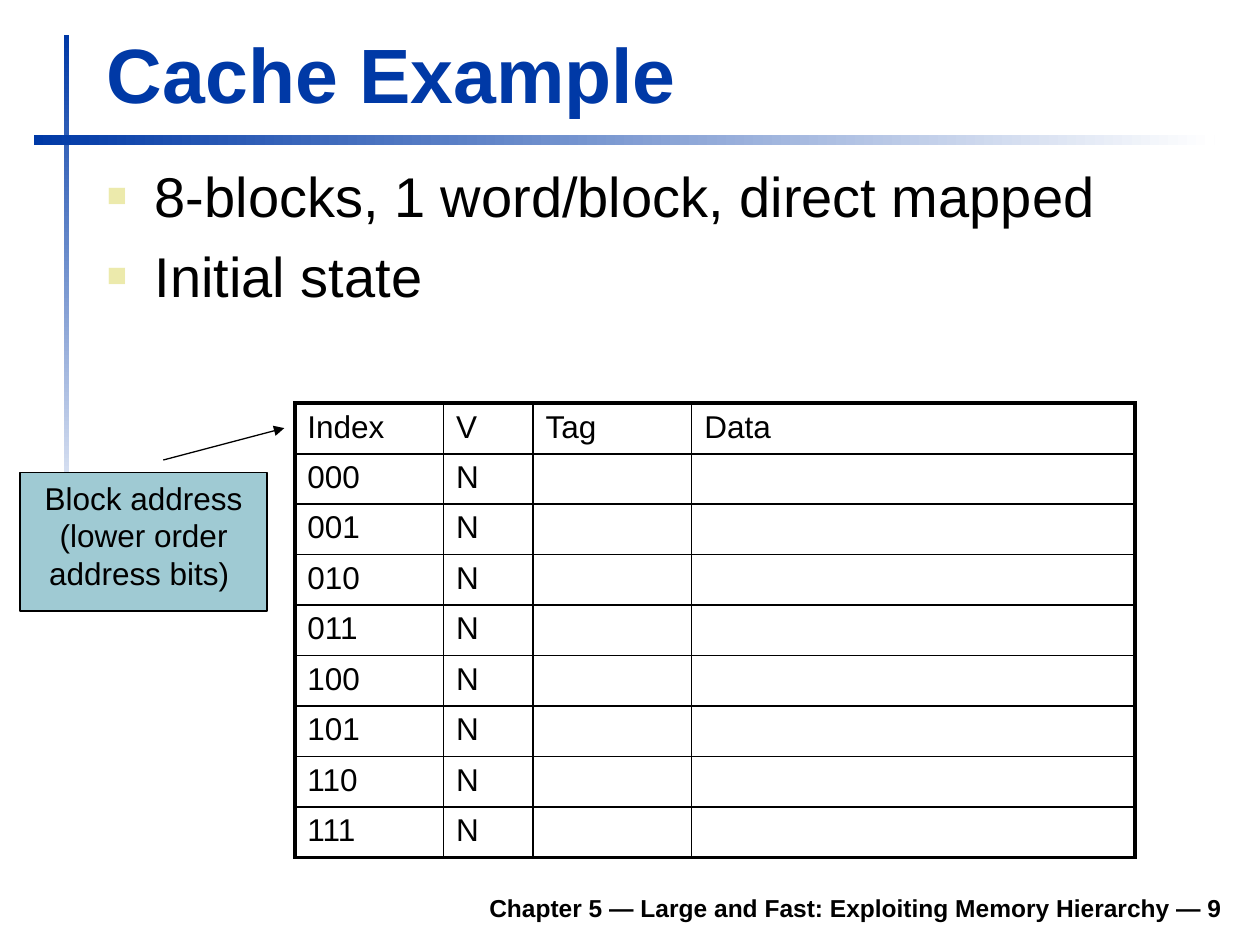
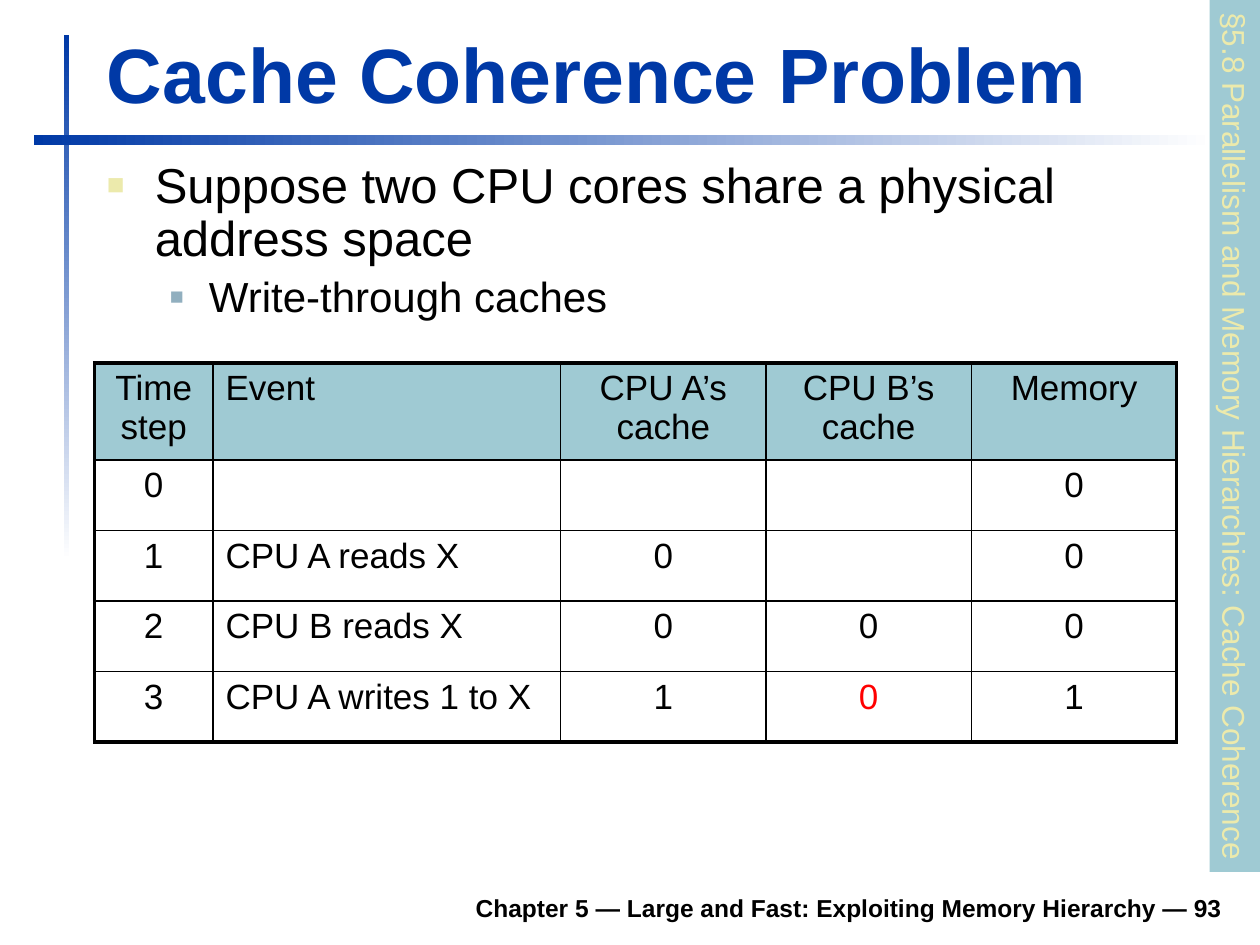
"""Build two lecture slides on cache contents and cache coherence."""
from lxml.etree import SubElement
from pptx import Presentation
from pptx.dml.color import RGBColor
from pptx.enum.shapes import MSO_SHAPE
from pptx.enum.text import MSO_ANCHOR, PP_ALIGN
from pptx.oxml.ns import qn
from pptx.util import Inches, Pt

BLUE = RGBColor(0x00, 0x39, 0xA6)
TEAL = RGBColor(0x9F, 0xCA, 0xD3)
CREAM = RGBColor(0xEC, 0xEA, 0xAC)
STEEL = RGBColor(0x91, 0xAF, 0xBF)
RED = RGBColor(0xFF, 0x00, 0x00)
BLACK = RGBColor(0x00, 0x00, 0x00)
WHITE = RGBColor(0xFF, 0xFF, 0xFF)

FONT = "Arial"
FOOTER = "Chapter 5 — Large and Fast: Exploiting Memory Hierarchy — "
BULLET_LEVELS = [(0.38, 0.38, CREAM, 60), (0.81, 0.31, STEEL, 55)]
OUTER, INNER = 2.25, 1


class LectureSlides:
    """Hold the lecture style and draw elements on the current slide."""

    def __init__(self):
        """Start an empty deck."""
        self.deck = Presentation()
        self.deck.slide_width, self.deck.slide_height = Inches(10), Inches(7.5)
        self.page = None

    def start_page(self, title, number):
        """Add a page with its fading bands, footer and title."""
        self.page = self.deck.slides.add_slide(self.deck.slide_layouts[6])
        self.band(0.51, 0.28, 0.04, 4.17, 270)
        self.band(0.27, 1.07, 9.37, 0.08, 0)
        self.label(1.85, 6.98, 7.95, 0.39, f"{FOOTER}{number}", 14, BLACK, PP_ALIGN.RIGHT)
        self.label(0.75, 0.16, 9.03, 0.83, title, 44, BLUE)

    def add_span(self, para, text, size, color=BLACK, bold=False):
        """Add one styled run to a paragraph."""
        span = para.add_run()
        span.text = text
        span.font.name, span.font.size, span.font.bold = FONT, Pt(size), bold
        span.font.color.rgb = color

    def text_box(self, left, top, width, height):
        """Add a wrapping text box and return its frame."""
        box = self.page.shapes.add_textbox(
            Inches(left), Inches(top), Inches(width), Inches(height))
        box.text_frame.word_wrap = True
        return box.text_frame

    def label(self, left, top, width, height, text, size, color, align=PP_ALIGN.LEFT):
        """Add a bold line that rests on the bottom of its box."""
        frame = self.text_box(left, top, width, height)
        frame.vertical_anchor = MSO_ANCHOR.BOTTOM
        frame.paragraphs[0].alignment = align
        self.add_span(frame.paragraphs[0], text, size, color, True)

    def bullets(self, height, items, line_spacing=None):
        """Add the body list from (level, text, size) items."""
        frame = self.text_box(0.75, 1.23, 9.05, height)
        for position, (level, text, size) in enumerate(items):
            para = frame.add_paragraph() if position else frame.paragraphs[0]
            para.level = level
            self.add_bullet(para, *BULLET_LEVELS[level])
            if position:
                para.space_before = Pt(round(size * 0.23, 1))
            if line_spacing:
                para.line_spacing = line_spacing
            self.add_span(para, text, size)

    def add_bullet(self, para, margin, hanging, color, percent):
        """Give a paragraph a square bullet and a hanging indent."""
        properties = para._p.get_or_add_pPr()
        properties.set("marL", str(Inches(margin)))
        properties.set("indent", str(-Inches(hanging)))
        bullet_color = SubElement(properties, qn("a:buClr"))
        SubElement(bullet_color, qn("a:srgbClr"), val=str(color))
        SubElement(properties, qn("a:buSzPct"), val=str(percent * 1000))
        SubElement(properties, qn("a:buFont"), typeface=FONT)
        SubElement(properties, qn("a:buChar"), char="■")

    def shape(self, kind, left, top, width, height):
        """Add a preset shape without shadow or outline."""
        shape = self.page.shapes.add_shape(
            kind, Inches(left), Inches(top), Inches(width), Inches(height))
        shape.shadow.inherit = False
        shape.line.fill.background()
        return shape

    def band(self, left, top, width, height, angle):
        """Add a bar that fades from blue to white."""
        fill = self.shape(MSO_SHAPE.RECTANGLE, left, top, width, height).fill
        fill.gradient()
        fill.gradient_angle = angle
        for stop, color in zip(fill.gradient_stops, (BLUE, WHITE)):
            stop.color.rgb = color

    def teal_shape(self, kind, place, text, color, align):
        """Add a teal shape with text at its top."""
        shape = self.shape(kind, *place)
        shape.fill.solid()
        shape.fill.fore_color.rgb = TEAL
        frame = shape.text_frame
        frame.vertical_anchor = MSO_ANCHOR.TOP
        frame.word_wrap = True
        frame.paragraphs[0].alignment = align
        self.add_span(frame.paragraphs[0], text, 18, color)
        return shape

    def callout(self, place, text, pointer):
        """Add an outlined callout with an arrow as its pointer."""
        shape = self.teal_shape(
            MSO_SHAPE.LINE_CALLOUT_1, place, text, BLACK, PP_ALIGN.CENTER)
        for position, value in enumerate(pointer):
            shape.adjustments[position] = value
        shape.line.color.rgb = BLACK
        shape.line.width = Pt(0.75)
        SubElement(shape.line._get_or_add_ln(), qn("a:tailEnd"), type="triangle")

    def section_tab(self, text):
        """Add the section name turned along the right edge."""
        tab = self.teal_shape(
            MSO_SHAPE.RECTANGLE, (6.34, 3.26, 6.92, 0.4), text, CREAM, PP_ALIGN.LEFT)
        tab.rotation = 90
        tab.text_frame.word_wrap = False

    def table(self, left, top, widths, heights, rows, size, header_line=INNER,
              header_fill=None, centered=(), accents=None):
        """Add a ruled table with a heavier outer frame."""
        grid = self.page.shapes.add_table(
            len(rows), len(widths), Inches(left), Inches(top),
            Inches(sum(widths)), Inches(sum(heights))).table
        grid.first_row = grid.horz_banding = False
        for column, width in zip(grid.columns, widths):
            column.width = Inches(width)
        across = [OUTER, header_line] + [INNER] * (len(rows) - 2) + [OUTER]
        down = [OUTER] + [INNER] * (len(widths) - 1) + [OUTER]
        for r, (texts, height) in enumerate(zip(rows, heights)):
            grid.rows[r].height = Inches(height)
            for c, text in enumerate(texts):
                cell = grid.cell(r, c)
                self.add_borders(cell, down[c], down[c + 1], across[r], across[r + 1])
                if header_fill and r == 0:
                    cell.fill.solid()
                    cell.fill.fore_color.rgb = header_fill
                else:
                    cell.fill.background()
                para = cell.text_frame.paragraphs[0]
                if c in centered:
                    para.alignment = PP_ALIGN.CENTER
                if text:
                    self.add_span(para, text, size, (accents or {}).get((r, c), BLACK))

    def add_borders(self, cell, *weights):
        """Rule the left, right, top and bottom of a cell."""
        properties = cell._tc.get_or_add_tcPr()
        for side, weight in zip("LRTB", weights):
            line = SubElement(properties, qn(f"a:ln{side}"), w=str(Pt(weight)))
            fill = SubElement(line, qn("a:solidFill"))
            SubElement(fill, qn("a:srgbClr"), val=str(BLACK))


def cache_example(slides):
    """Build the slide with the initial cache state."""
    slides.start_page("Cache Example", 9)
    slides.bullets(1.46, [(0, "8-blocks, 1 word/block, direct mapped", 32),
                          (0, "Initial state", 32)])
    rows = [["Index", "V", "Tag", "Data"]]
    rows += [[f"{index:03b}", "N", "", ""] for index in range(8)]
    slides.table(2.34, 3.2, [1.18, 0.71, 1.26, 3.52], [0.4] * 9, rows, 18,
                 header_line=1.5)
    slides.callout((0.16, 3.75, 1.96, 1.1), "Block address (lower order address bits) ",
                   (-0.09, 0.58, -0.32, 1.07))


def cache_coherence(slides):
    """Build the slide with the coherence problem."""
    slides.start_page("Cache Coherence Problem", 93)
    slides.bullets(1.49, [(0, "Suppose two CPU cores share a physical address space", 28),
                          (1, "Write-through caches", 24)], line_spacing=0.9)
    slides.section_tab("§5.8 Parallelism and Memory Hierarchies: Cache Coherence")
    rows = [["Time step", "Event", "CPU A’s cache", "CPU B’s cache", "Memory"],
            ["0", "", "", "", "0"],
            ["1", "CPU A reads X", "0", "", "0"],
            ["2", "CPU B reads X", "0", "0", "0"],
            ["3", "CPU A writes 1 to X", "1", "0", "1"]]
    slides.table(0.75, 2.88, [0.94, 2.76] + [1.63] * 3, [0.77] + [0.56] * 4, rows, 20,
                 header_fill=TEAL, centered=(0, 2, 3, 4), accents={(4, 3): RED})


def main():
    """Build and save the deck."""
    slides = LectureSlides()
    cache_example(slides)
    cache_coherence(slides)
    slides.deck.save("out.pptx")


if __name__ == "__main__":
    main()
